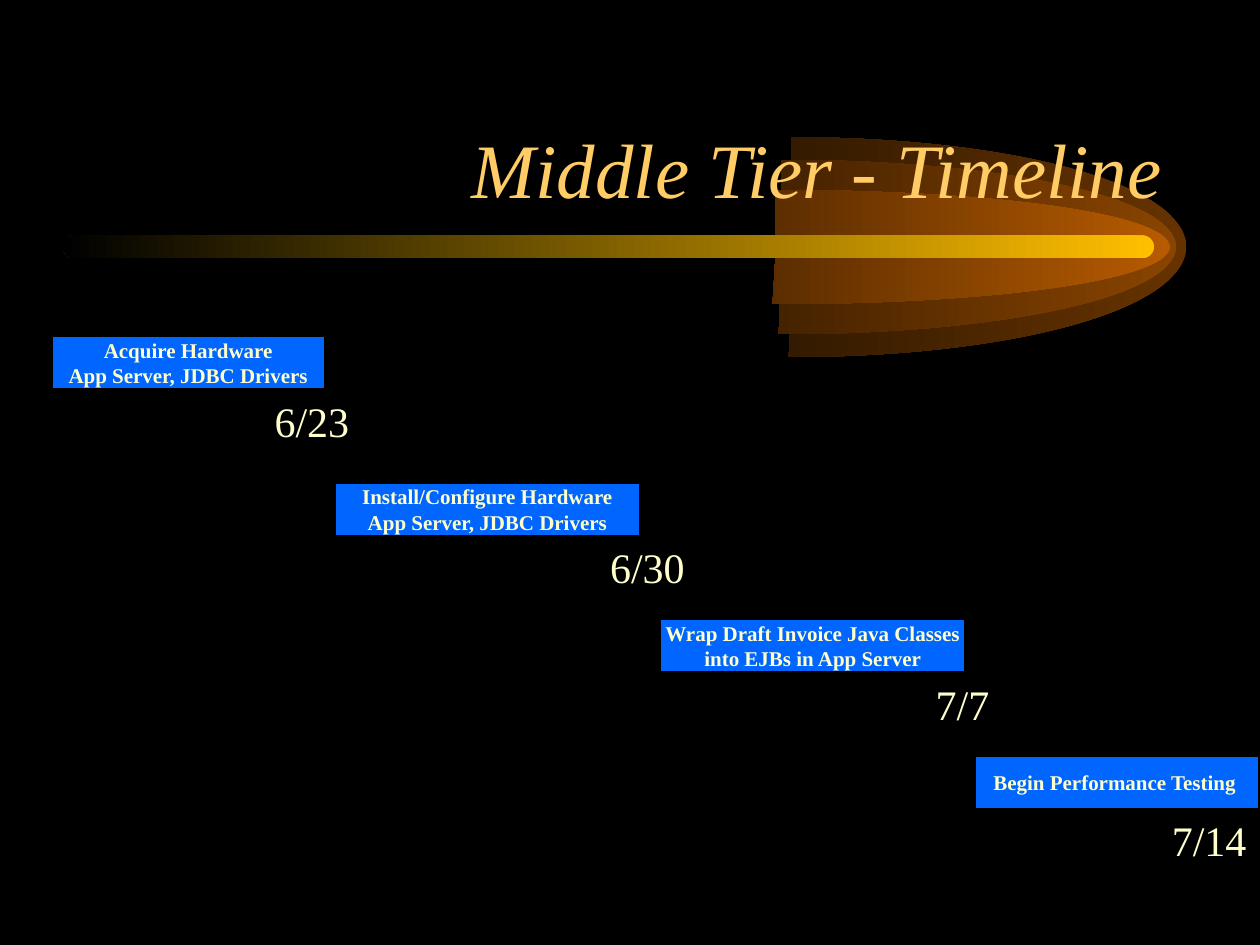
from dataclasses import dataclass

from lxml import etree
from pptx import Presentation
from pptx import util as u
from pptx.dml.color import RGBColor
from pptx.enum import shapes, text
from pptx.oxml import ns

FONT = "Times New Roman"
BLACK, BLUE, CREAM, GOLD = "000000", "0066FF", "FFFFCC", "FFCC66"
TITLE_FORMAT = {"name": FONT, "size": u.Pt(44), "italic": True}
TASK_FORMAT = {"name": FONT, "size": u.Pt(12), "bold": True}
DATE_FORMAT = {"name": FONT, "size": u.Pt(24)}
TASK_HEIGHT = 30
COMET_HALF_WIDTH = 225.4
COMET_MIDDLE = 141.2
COMET_START = (-0.5, -1)
COMET_CURVES = [
    ((80.3, -1), (154.8, -0.82), (195.1, -0.51)),
    ((235.4, -0.2), (235.1, 0.2), (194.6, 0.51)),
    ((154.3, 0.82), (79.5, 1), (-2, 1)),
]


@dataclass
class Glow:
    center: float
    radius: float
    tip_color: str


@dataclass
class Milestone:
    lines: tuple[str, ...]
    left: float
    top: float
    width: float
    date: str
    date_left: float
    date_width: float = 57


GLOWS = [Glow(452.8, 62.8, "663300"), Glow(447, 49.8, "894400"), Glow(443.5, 32.6, "B75B00")]
MILESTONES = [
    Milestone(("Acquire Hardware", "App Server, JDBC Drivers"), 29.6, 192.2, 156, "6/23", 149.8),
    Milestone(("Install/Configure Hardware", "App Server, JDBC Drivers"), 191.6, 276, 174, "6/30", 341.5),
    Milestone(("Wrap Draft Invoice Java Classes", "into EJBs in App Server"), 377.5, 354, 174, "7/7", 527.6, 45),
    Milestone(("Begin Performance Testing ",), 557.5, 432, 162, "7/14", 662.5),
]


def color(value: str) -> RGBColor:
    """Turn a hex string into a colour."""
    return RGBColor.from_string(value)


def paint_gradient(shape, tip_color: str) -> None:
    """Fill a shape with a gradient that fades to black leftwards."""
    shape.shadow.inherit = False
    shape.line.fill.background()
    shape.fill.gradient()
    shape.fill.gradient_angle = 180
    for stop, value in zip(shape.fill.gradient_stops, (tip_color, BLACK)):
        stop.color.rgb = color(value)


def write(shape, lines, format_values: dict, font_color: str, alignment, anchor, wrap=False) -> None:
    """Write one formatted paragraph for each line."""
    frame = shape.text_frame
    frame.word_wrap = wrap
    frame.vertical_anchor = anchor
    frame.text = "\n".join(lines)
    for paragraph in frame.paragraphs:
        paragraph.alignment = alignment
        for run in paragraph.runs:
            for name, value in format_values.items():
                setattr(run.font, name, value)
            run.font.color.rgb = color(font_color)


def add_command(path, name: str, points, radius: float) -> None:
    """Append a drawing command with points measured from the glow's middle."""
    command = etree.SubElement(path, ns.qn(name))
    for x, y in points:
        etree.SubElement(command, ns.qn("a:pt"), x=str(u.Pt(x + COMET_HALF_WIDTH)),
                         y=str(u.Pt((y + 1) * radius)))


def add_glow(slide, glow: Glow) -> None:
    """Draw the right half of an ellipse with a filled and an open path."""
    left, top = glow.center - COMET_HALF_WIDTH, COMET_MIDDLE - glow.radius
    width, height = 2 * COMET_HALF_WIDTH, 2 * glow.radius
    builder = slide.shapes.build_freeform(u.Pt(left), u.Pt(top))
    builder.add_line_segments([(u.Pt(left + width), u.Pt(top + height))], close=False)
    shape = builder.convert_to_shape()
    paths = next(shape.element.iter(ns.qn("a:pathLst")))
    paths.clear()
    for filled in (True, False):
        path = etree.SubElement(paths, ns.qn("a:path"), w=str(u.Pt(width)), h=str(u.Pt(height)))
        add_command(path, "a:moveTo", [COMET_START], glow.radius)
        for curve in COMET_CURVES:
            add_command(path, "a:cubicBezTo", curve, glow.radius)
        if filled:
            add_command(path, "a:lnTo", [(0, 0)], glow.radius)
            etree.SubElement(path, ns.qn("a:close"))
        else:
            path.set("fill", "none")
    paint_gradient(shape, glow.tip_color)


def add_beam(slide) -> None:
    """Draw the golden beam under the title."""
    shape = slide.shapes.add_shape(
        shapes.MSO_SHAPE.ROUNDED_RECTANGLE, u.Pt(36), u.Pt(134.5), u.Pt(623.5), u.Pt(13))
    shape.adjustments[0] = 0.5
    paint_gradient(shape, "FFBF00")


def add_title(slide, title: str) -> None:
    """Add the right-aligned title."""
    shape = slide.shapes.add_textbox(u.Pt(59.6), u.Pt(36), u.Pt(612), u.Pt(90))
    write(shape, [title], TITLE_FORMAT, GOLD, text.PP_ALIGN.RIGHT, text.MSO_ANCHOR.BOTTOM, True)


def add_milestone(slide, milestone: Milestone) -> None:
    """Add a task bar with its date below."""
    bar = slide.shapes.add_shape(
        shapes.MSO_SHAPE.FLOWCHART_PROCESS, u.Pt(milestone.left), u.Pt(milestone.top),
        u.Pt(milestone.width), u.Pt(TASK_HEIGHT))
    bar.shadow.inherit = False
    bar.fill.solid()
    bar.fill.fore_color.rgb = color(BLUE)
    bar.line.color.rgb = color(BLACK)
    bar.line.width = u.Pt(1)
    write(bar, milestone.lines, TASK_FORMAT, CREAM, text.PP_ALIGN.CENTER, text.MSO_ANCHOR.MIDDLE)
    date = slide.shapes.add_textbox(
        u.Pt(milestone.date_left), u.Pt(milestone.top + TASK_HEIGHT),
        u.Pt(milestone.date_width), u.Pt(36))
    write(date, [milestone.date], DATE_FORMAT, CREAM, text.PP_ALIGN.LEFT, text.MSO_ANCHOR.TOP)
    date.text_frame.auto_size = text.MSO_AUTO_SIZE.SHAPE_TO_FIT_TEXT


def main() -> None:
    """Build the timeline slide and save it."""
    presentation = Presentation()
    presentation.slide_width, presentation.slide_height = u.Pt(720), u.Pt(540)
    slide = presentation.slides.add_slide(presentation.slide_layouts[6])
    slide.background.fill.solid()
    slide.background.fill.fore_color.rgb = color(BLACK)
    for glow in GLOWS:
        add_glow(slide, glow)
    add_beam(slide)
    add_title(slide, "Middle Tier - Timeline")
    for milestone in MILESTONES:
        add_milestone(slide, milestone)
    presentation.save("out.pptx")


if __name__ == "__main__":
    main()
